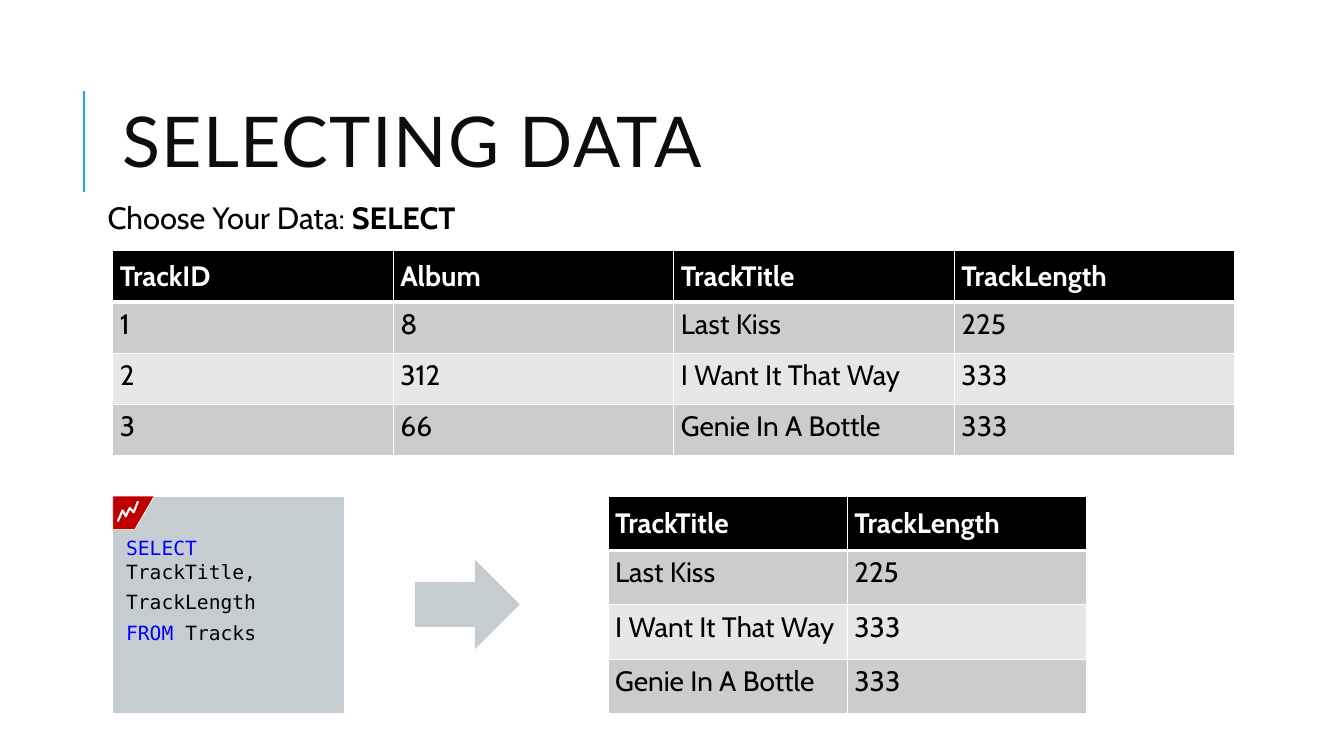
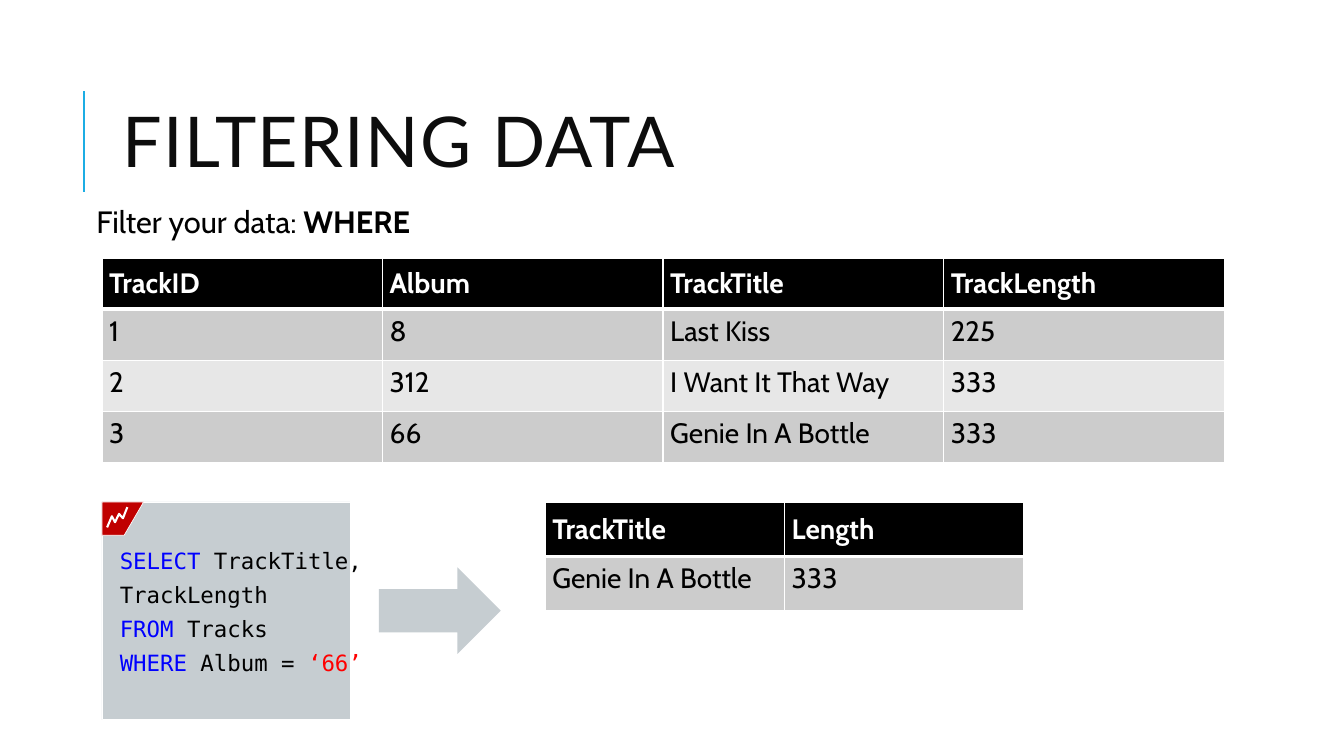
from dataclasses import dataclass
from typing import NamedTuple

from lxml.etree import SubElement
from pptx import Presentation
from pptx.dml.color import RGBColor
from pptx.enum.shapes import MSO_CONNECTOR, MSO_SHAPE
from pptx.enum.text import MSO_ANCHOR, MSO_AUTO_SIZE, PP_ALIGN
from pptx.oxml.ns import qn
from pptx.util import Cm, Pt


# Theme: colours, fonts and type sizes
@dataclass(frozen=True)
class Theme:
    white: str = "FFFFFF"
    black: str = "000000"
    ink: str = "0D0D0D"
    accent: str = "1CADE4"
    panel: str = "C6CDD1"
    flag: str = "C00000"
    key: str = "0000FF"
    value: str = "FF0000"
    bands: tuple = ("CCCCCC", "E7E7E7")
    head: str = "Lato"
    body: str = "Cabin"
    mono: str = "DejaVu Sans Mono"
    title: float = 50
    lead: float = 22
    cell: float = 20


THEME = Theme()


# Parts of a slide, lengths in centimetres
class Box(NamedTuple):
    left: float
    top: float
    width: float
    height: float

    def emu(self) -> list:
        return [Cm(side) for side in self]


class Run(NamedTuple):
    text: str
    color: str = THEME.black
    bold: bool = False


@dataclass(frozen=True)
class Grid:
    left: float
    top: float
    col: float
    row: float
    rows: list


@dataclass(frozen=True)
class Code:
    panel: Box
    text: Box
    size: float
    lines: list


@dataclass(frozen=True)
class Page:
    title: str
    lead: list
    place: Box
    source: Grid
    code: Code
    arrow: Box
    result: Grid


# Text
def write(frame, lines: list, *, font: str, size: float, line: float = 1.0,
          before: float = 0, after: float = 0, track: int = 0,
          inset: tuple = (0.25, 0.13), fit=MSO_AUTO_SIZE.NONE) -> None:
    frame.word_wrap = True
    frame.auto_size = fit
    frame.margin_left = frame.margin_right = Cm(inset[0])
    frame.margin_top = frame.margin_bottom = Cm(inset[1])
    fill_text(frame, lines, font=font, size=size, line=line,
              before=before, after=after, track=track)


def fill_text(frame, lines: list, *, font: str, size: float, line: float = 1.0,
              before: float = 0, after: float = 0, track: int = 0) -> None:
    for i, runs in enumerate(lines):
        para = frame.paragraphs[0] if i == 0 else frame.add_paragraph()
        para.alignment = PP_ALIGN.LEFT
        para.line_spacing = line
        para.space_before, para.space_after = Pt(before), Pt(after)
        for part in runs:
            run = para.add_run()
            run.text = part.text
            run.font.name, run.font.size = font, Pt(size)
            run.font.bold = part.bold
            run.font.color.rgb = RGBColor.from_string(part.color)
            if track:
                run.font._element.set("spc", str(track))


def indent(para, width: float, color: str) -> None:
    props = para._p.get_or_add_pPr()
    props.set("marL", str(Cm(width)))
    props.set("indent", str(-Cm(width)))
    tint = SubElement(props, qn("a:buClr"))
    SubElement(tint, qn("a:srgbClr")).set("val", color)
    SubElement(props, qn("a:buChar")).set("char", " ")


# Shapes
def paint(shape, fill: str, line: str = "", width: float = 0.5) -> None:
    shape.shadow.inherit = False
    shape.fill.solid()
    shape.fill.fore_color.rgb = RGBColor.from_string(fill)
    if line:
        shape.line.color.rgb = RGBColor.from_string(line)
        shape.line.width = Pt(width)
    else:
        shape.line.fill.background()


def outline(shapes, box: Box, points: list, close: bool, width: float) -> None:
    spots = [(Cm(box.left + x), Cm(box.top + y)) for x, y in points]
    form = shapes.build_freeform(*spots[0])
    form.add_line_segments(spots[1:], close=close)
    paint(form.convert_to_shape(), THEME.flag, THEME.white, width)


FLAG = [(0, 0), (1.05, 0), (0.56, 0.84), (0, 0.84)]
BOLT = [(0.64, 0.13), (0.53, 0.41), (0.43, 0.3),
        (0.33, 0.51), (0.25, 0.36), (0.13, 0.64)]


def add_code(slide, code: Code) -> None:
    shapes = slide.shapes.add_group_shape().shapes
    panel = shapes.add_shape(MSO_SHAPE.RECTANGLE, *code.panel.emu())
    paint(panel, THEME.panel, THEME.white)
    outline(shapes, code.panel, FLAG, True, 0.5)
    outline(shapes, code.panel, BOLT, False, 1.5)
    text = shapes.add_textbox(*code.text.emu())
    write(text.text_frame, code.lines, font=THEME.mono, size=code.size,
          before=5, inset=(0, 0), fit=MSO_AUTO_SIZE.SHAPE_TO_FIT_TEXT)


# Tables
def border(cell, row: int) -> None:
    props = cell._tc.get_or_add_tcPr()
    widths = {"L": 1, "R": 1, "T": 3 if row == 1 else 1,
              "B": 3 if row == 0 else 1}
    for side, width in widths.items():
        edge = SubElement(props, qn(f"a:ln{side}"), w=str(Pt(width)))
        fill = SubElement(edge, qn("a:solidFill"))
        SubElement(fill, qn("a:srgbClr")).set("val", THEME.white)


def add_grid(slide, grid: Grid) -> None:
    rows, cols = len(grid.rows), len(grid.rows[0])
    box = Box(grid.left, grid.top, grid.col * cols, grid.row * rows)
    table = slide.shapes.add_table(rows, cols, *box.emu()).table
    for col in table.columns:
        col.width = Cm(grid.col)
    for r, texts in enumerate(grid.rows):
        table.rows[r].height = Cm(grid.row)
        head = r == 0
        for c, text in enumerate(texts):
            cell = table.cell(r, c)
            border(cell, r)
            cell.fill.solid()
            shade = THEME.black if head else THEME.bands[(r - 1) % 2]
            cell.fill.fore_color.rgb = RGBColor.from_string(shade)
            cell.vertical_anchor = MSO_ANCHOR.MIDDLE if head else MSO_ANCHOR.TOP
            cell.margin_left = cell.margin_right = Cm(0.18)
            cell.margin_top = cell.margin_bottom = Cm(0.13)
            ink = THEME.white if head else THEME.black
            fill_text(cell.text_frame, [[Run(text, ink, head)]],
                      font=THEME.body, size=THEME.cell, before=3)


# Shared frame: side rule, title and lead line
def place(shape, box: Box) -> None:
    shape.left, shape.top, shape.width, shape.height = box.emu()


def add_frame(slide, page: Page) -> None:
    rule = slide.shapes.add_connector(
        MSO_CONNECTOR.STRAIGHT, Cm(2.11), Cm(4.83), Cm(2.11), Cm(2.29))
    rule.line.color.rgb = RGBColor.from_string(THEME.accent)
    rule.line.width = Pt(1.5)
    SubElement(rule._element.spPr, qn("a:effectLst"))

    title = slide.shapes.title
    place(title, Box(2.84, 1.63, 27, 4.17))
    write(title.text_frame, [[Run(page.title, THEME.ink)]], font=THEME.head,
          size=THEME.title, line=0.8, track=100)
    title.text_frame.vertical_anchor = MSO_ANCHOR.MIDDLE

    lead = slide.placeholders[1]
    place(lead, page.place)
    write(lead.text_frame, [page.lead], font=THEME.body, size=THEME.lead,
          line=0.9, before=12, after=2)
    lead.text_frame.vertical_anchor = MSO_ANCHOR.TOP
    indent(lead.text_frame.paragraphs[0], 0.25, THEME.accent)


def add_page(deck, page: Page) -> None:
    slide = deck.slides.add_slide(deck.slide_layouts[1])
    add_frame(slide, page)
    add_grid(slide, page.source)
    add_code(slide, page.code)
    arrow = slide.shapes.add_shape(MSO_SHAPE.RIGHT_ARROW, *page.arrow.emu())
    paint(arrow, THEME.panel)
    add_grid(slide, page.result)


# Content
TRACKS = [
    ["TrackID", "Album", "TrackTitle", "TrackLength"],
    ["1", "8", "Last Kiss", "225"],
    ["2", "312", "I Want It That Way", "333"],
    ["3", "66", "Genie In A Bottle", "333"],
]
QUERY = [
    [Run("SELECT ", THEME.key), Run("TrackTitle,")],
    [Run("TrackLength")],
    [Run("FROM", THEME.key), Run(" Tracks")],
]
WHERE = [Run("WHERE", THEME.key), Run(" Album = "), Run("‘66’", THEME.value)]

PAGES = [
    Page(
        title="SELECTING DATA",
        lead=[Run("Choose Your Data: "), Run("SELECT", bold=True)],
        place=Box(2.21, 4.98, 16, 0.61),
        source=Grid(2.84, 6.32, 7.07, 1.29, TRACKS),
        code=Code(Box(2.84, 12.5, 5.84, 5.49), Box(3.18, 13.51, 5.08, 2.16),
                  14, QUERY),
        arrow=Box(10.46, 14.1, 2.64, 2.26),
        result=Grid(15.32, 12.5, 6.03, 1.37, [row[2:] for row in TRACKS]),
    ),
    Page(
        title="FILTERING DATA",
        lead=[Run("Filter your data: "), Run("WHERE", bold=True)],
        place=Box(1.93, 5.08, 16, 0.61),
        source=Grid(2.57, 6.5, 7.07, 1.29, TRACKS),
        code=Code(Box(2.57, 12.65, 6.25, 5.49), Box(3.02, 13.79, 6.45, 3.28),
                  16, QUERY + [WHERE]),
        arrow=Box(9.55, 14.3, 3.07, 2.18),
        result=Grid(13.74, 12.65, 6.03, 1.37,
                    [["TrackTitle", "Length"], TRACKS[3][2:]]),
    ),
]

deck = Presentation()
deck.slide_width, deck.slide_height = Cm(33.87), Cm(19.05)
for page in PAGES:
    add_page(deck, page)
deck.save("out.pptx")
